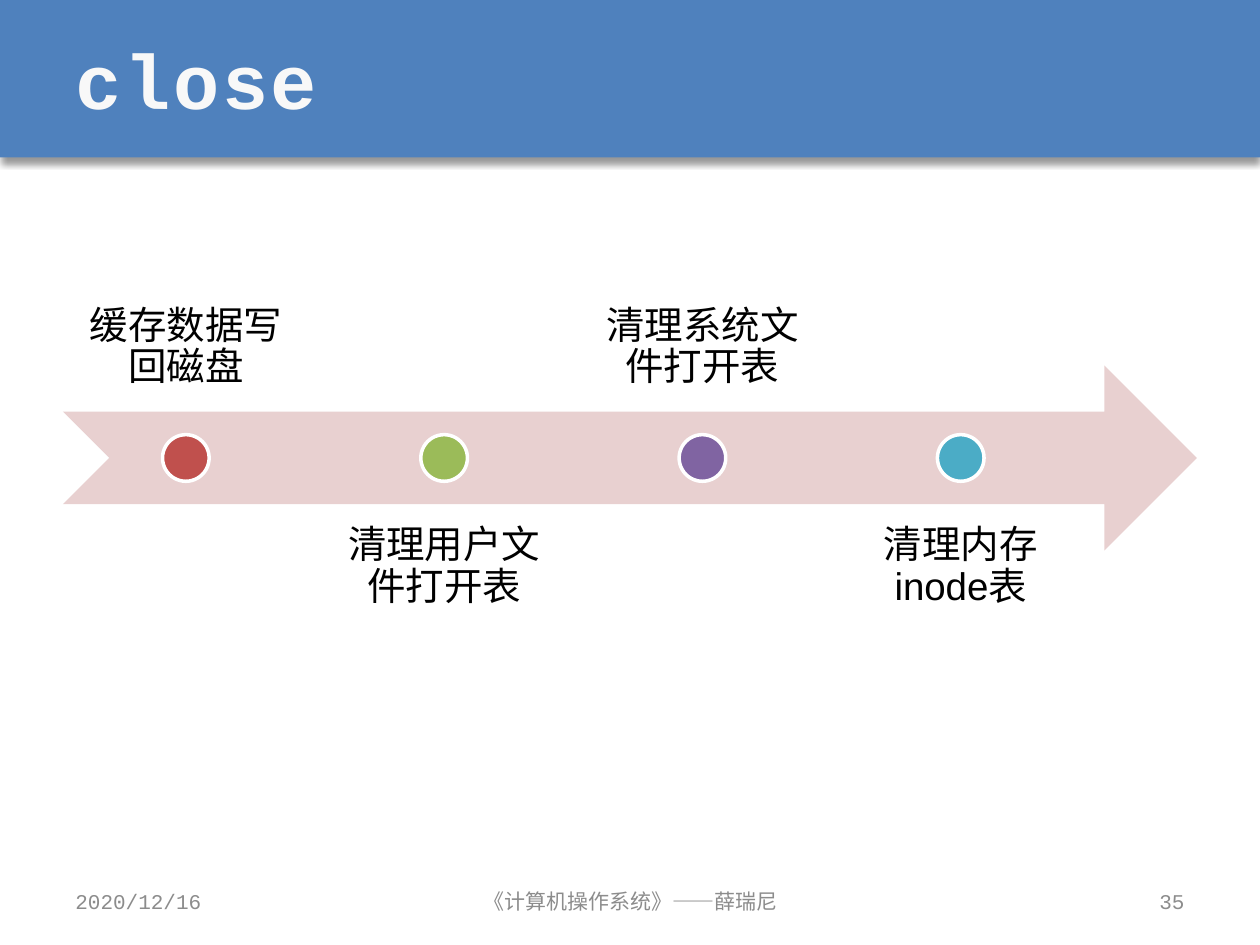
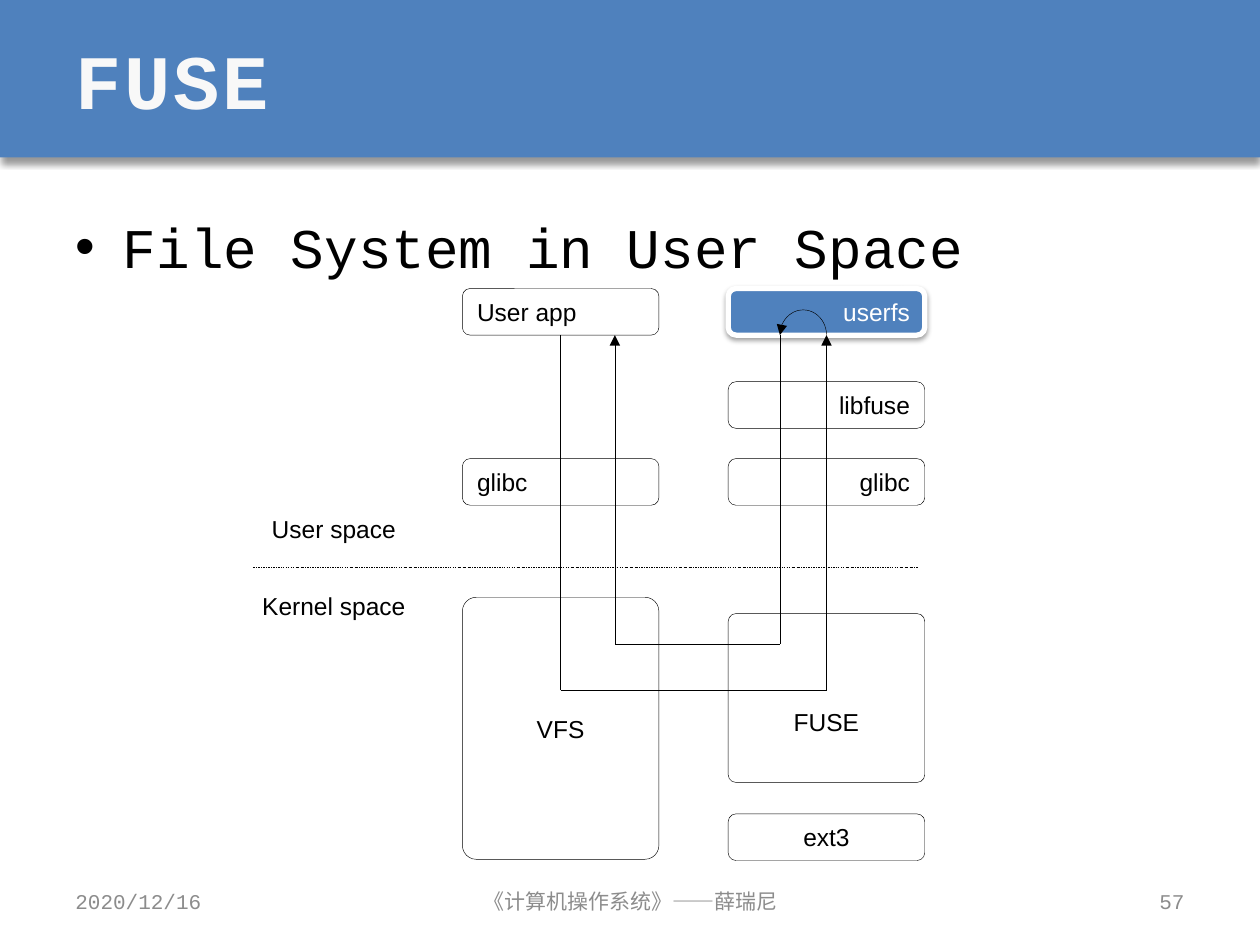
import dataclasses
import itertools

import lxml.etree
import pptx
import pptx.dml.color
import pptx.enum.dml
import pptx.enum.shapes
import pptx.enum.text
import pptx.oxml.ns
import pptx.util

Inches, Pt = pptx.util.Inches, pptx.util.Pt
RGB = pptx.dml.color.RGBColor.from_string
qn = pptx.oxml.ns.qn
SHAPE = pptx.enum.shapes.MSO_SHAPE
STRAIGHT = pptx.enum.shapes.MSO_CONNECTOR.STRAIGHT
ANCHOR = pptx.enum.text.MSO_ANCHOR
ALIGN = pptx.enum.text.PP_ALIGN


@dataclasses.dataclass(frozen=True)
class Theme:
    blue: str = "4F81BD"
    white: str = "FFFFFF"
    black: str = "000000"
    title_white: str = "F8F8F8"
    footer_gray: str = "8C8C8C"
    arrow_pink: str = "E8D0D0"
    steps: tuple = ("C0504D", "9BBB59", "8064A2", "4BACC6")
    mono: str = "Courier New"
    sans: str = "Arial"
    title_size: int = 44
    bullet_size: int = 32
    step_size: int = 22
    diagram_size: int = 14
    footer_size: int = 12
    hairline: float = 0.25


theme = Theme()


def write(shape, text, font, size, color, align=ALIGN.LEFT, anchor=ANCHOR.MIDDLE, wrap=True):
    """Set one formatted paragraph and return it."""
    frame = shape.text_frame
    frame.text = text
    frame.word_wrap = wrap
    frame.auto_size = pptx.enum.text.MSO_AUTO_SIZE.NONE
    frame.vertical_anchor = anchor
    paragraph = frame.paragraphs[0]
    paragraph.alignment = align
    for run in paragraph.runs:
        run.font.name = font
        run.font.size = Pt(size)
        run.font.color.rgb = RGB(color)
    return paragraph


def outline(shape, color=None, width=theme.hairline, arrow=None, shadow=None):
    """Set line, arrowhead ("headEnd" or "tailEnd") and shadow (opacity, blur, distance)."""
    if color:
        shape.line.color.rgb = RGB(color)
        shape.line.width = Pt(width)
    else:
        shape.line.fill.background()
    properties = shape.element.spPr
    if arrow:
        lxml.etree.SubElement(properties.find(qn("a:ln")), qn(f"a:{arrow}"), type="triangle")
    effects = lxml.etree.SubElement(properties, qn("a:effectLst"))
    if shadow:
        opacity, blur, distance = shadow
        outer = lxml.etree.SubElement(
            effects, qn("a:outerShdw"), blurRad=str(Pt(blur)), dist=str(Pt(distance)),
            dir="5400000", algn="t", rotWithShape="0")
        shade = lxml.etree.SubElement(outer, qn("a:srgbClr"), val=theme.black)
        lxml.etree.SubElement(shade, qn("a:alpha"), val=str(opacity * 1000))


presentation = pptx.Presentation()
presentation.slide_width, presentation.slide_height = Inches(10), Inches(7.5)
TITLE_AND_CONTENT, TITLE_ONLY = presentation.slide_layouts[1], presentation.slide_layouts[5]
close_slide = presentation.slides.add_slide(TITLE_ONLY)
fuse_slide = presentation.slides.add_slide(TITLE_AND_CONTENT)

# Title band and footers
for slide, title_text, number in ((close_slide, "close", "35"), (fuse_slide, "FUSE", "57")):
    band = slide.shapes.add_shape(SHAPE.RECTANGLE, 0, 0, Inches(10), Inches(1.25))
    band.fill.solid()
    band.fill.fore_color.rgb = RGB(theme.blue)
    outline(band, shadow=(40, 4, 3))
    title = slide.shapes.title
    title.element.addprevious(band.element)
    title.left, title.top, title.width, title.height = Inches(0.5), 0, Inches(9), Inches(1.25)
    paragraph = write(title, title_text, theme.mono, theme.title_size, theme.title_white)
    paragraph.runs[0].font.bold = True
    for run_properties in title.element.iter(qn("a:rPr")):
        run_properties.set("spc", "150")

    for left, width, text, align in (
        (0.5, 2.33, "2020/12/16", ALIGN.LEFT),
        (3.42, 3.17, "《计算机操作系统》——薛瑞尼", ALIGN.CENTER),
        (7.17, 2.33, number, ALIGN.RIGHT),
    ):
        footer = slide.shapes.add_textbox(Inches(left), Inches(6.95), Inches(width), Inches(0.4))
        write(footer, text, theme.mono, theme.footer_size, theme.footer_gray, align)

# Steps of close along an arrow
shapes = close_slide.shapes
arrow = shapes.add_shape(
    SHAPE.NOTCHED_RIGHT_ARROW, Inches(0.5), Inches(2.9), Inches(9), Inches(1.47))
arrow.fill.solid()
arrow.fill.fore_color.rgb = RGB(theme.arrow_pink)
outline(arrow)

STEP_PITCH = 2.05
step_labels = ("缓存数据写回磁盘", "清理用户文件打开表", "清理系统文件打开表", "清理内存inode表")
for index, (text, color) in enumerate(zip(step_labels, theme.steps)):
    offset = index * STEP_PITCH
    top, anchor = ((1.79, ANCHOR.BOTTOM), (4, ANCHOR.TOP))[index % 2]
    label = shapes.add_textbox(Inches(0.5 + offset), Inches(top), Inches(1.95), Inches(1.47))
    paragraph = write(label, text, theme.sans, theme.step_size, theme.black, ALIGN.CENTER, anchor)
    paragraph.line_spacing = 0.9
    frame = label.text_frame
    frame.margin_left = frame.margin_right = frame.margin_top = frame.margin_bottom = Inches(0.17)
    dot = shapes.add_shape(
        SHAPE.OVAL, Inches(1.29 + offset), Inches(3.45), Inches(0.37), Inches(0.37))
    dot.fill.solid()
    dot.fill.fore_color.rgb = RGB(color)
    outline(dot, theme.white, 2)

# FUSE bullet
shapes = fuse_slide.shapes
body = fuse_slide.placeholders[1]
body.left, body.top, body.width, body.height = Inches(0.5), Inches(1.48), Inches(9), Inches(5.33)
paragraph = write(body, "File System in User Space", theme.mono, theme.bullet_size,
                  theme.black, anchor=ANCHOR.TOP)
paragraph.line_spacing = 1.3
paragraph.space_before = Pt(0)

# Layers of the file system
APP_COLUMN, FUSE_COLUMN = 3.67, 5.78
ROW_HEIGHT = 0.37
for left, top, height, corner, text, align in (
    (APP_COLUMN, 2.29, ROW_HEIGHT, 0.167, "User app", ALIGN.LEFT),
    (APP_COLUMN, 3.64, ROW_HEIGHT, 0.167, "glibc", ALIGN.LEFT),
    (FUSE_COLUMN, 2.29, ROW_HEIGHT, 0.167, "userfs", ALIGN.RIGHT),
    (FUSE_COLUMN, 3.03, ROW_HEIGHT, 0.167, "libfuse", ALIGN.RIGHT),
    (FUSE_COLUMN, 3.64, ROW_HEIGHT, 0.167, "glibc", ALIGN.RIGHT),
    (APP_COLUMN, 4.74, 2.08, 0.071, "VFS", ALIGN.CENTER),
    (FUSE_COLUMN, 4.87, 1.34, 0.046, "FUSE", ALIGN.CENTER),
    (FUSE_COLUMN, 6.46, ROW_HEIGHT, 0.167, "ext3", ALIGN.CENTER),
):
    layer = shapes.add_shape(
        SHAPE.ROUNDED_RECTANGLE, Inches(left), Inches(top), Inches(1.56), Inches(height))
    layer.adjustments[0] = corner
    highlighted = text == "userfs"
    write(layer, text, theme.sans, theme.diagram_size,
          theme.white if highlighted else theme.black, align, wrap=False)
    if highlighted:
        layer.fill.solid()
        layer.fill.fore_color.rgb = RGB(theme.blue)
        outline(layer, theme.white, 3, shadow=(38, 3.1, 1.6))
    else:
        layer.fill.background()
        outline(layer, theme.black)
    if text == "FUSE":
        layer.text_frame.margin_top, layer.text_frame.margin_bottom = Inches(0.37), 0

boundary = shapes.add_connector(STRAIGHT, Inches(2.01), Inches(4.5), Inches(7.29), Inches(4.5))
outline(boundary, theme.black)
boundary.line.dash_style = pptx.enum.dml.MSO_LINE.DASH_DOT

# Request and reply routes, each ending in an arrowhead
request = ((4.45, 2.66), (4.45, 5.48), (6.56, 5.48), (6.56, 2.66))
reply = ((6.19, 2.66), (6.19, 5.11), (4.88, 5.11), (4.88, 2.66))
for route in (request, reply):
    for start, end in itertools.pairwise(route):
        segment = shapes.add_connector(STRAIGHT, *map(Inches, start + end))
        outline(segment, theme.black, arrow="tailEnd" if end == route[-1] else None)

turn = shapes.add_shape(SHAPE.ARC, Inches(6.19), Inches(2.46), Inches(0.37), Inches(0.4))
turn.adjustments[0], turn.adjustments[1] = 108, 0  # 180 to 0 degrees
turn.fill.background()
outline(turn, theme.black, arrow="headEnd")

for top, text in ((4.01, "User space"), (4.62, "Kernel space")):
    space = shapes.add_textbox(Inches(2.01), Inches(top), Inches(1.28), Inches(ROW_HEIGHT))
    write(space, text, theme.sans, theme.diagram_size, theme.black, ALIGN.CENTER, wrap=False)

presentation.save("out.pptx")
